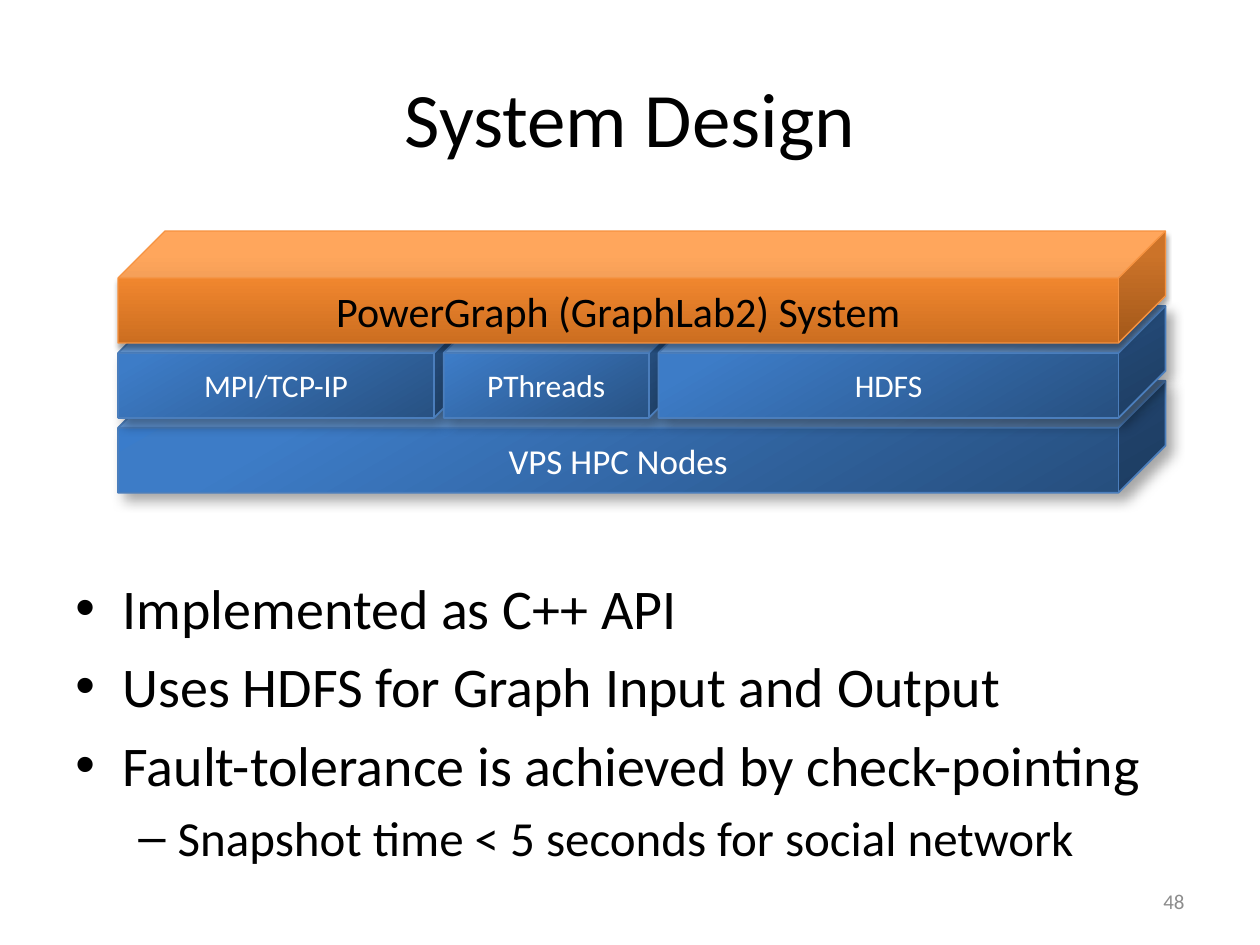
from lxml import etree
from pptx import Presentation
from pptx.dml.color import RGBColor
from pptx.enum.shapes import MSO_SHAPE as Shape
from pptx.enum.text import MSO_ANCHOR as Anchor, PP_ALIGN as Align
from pptx.oxml import parse_xml
from pptx.oxml.ns import nsdecls, qn
from pptx.util import Pt

COLORS = {
    "text": "000000", "light": "FFFFFF", "muted": "8C8C8C",
    "blue_dark": "254C7A", "blue_mid": "3D7CC7", "blue": "3A7CCB", "blue_line": "4B7EBC",
    "orange_dark": "CC6E20", "orange_mid": "FF9034", "orange": "FF9136", "orange_line": "F69240",
}
BLUE = dict(stops=("blue_dark", "blue_mid", "blue"), angle=240, line="blue_line",
            weight=1, shadow=(7, 5, 50), text="light")
ORANGE = dict(stops=("orange_dark", "orange_mid", "orange"), angle=270, line="orange_line",
              weight=0.75, shadow=(3.1, 1.8, 90), text="text")
FONT = "Calibri"
CUBE_HEIGHT = 64
CUBE_DEPTH = 0.42


def rgb(name):
    """Return the named colour."""
    return RGBColor.from_string(COLORS[name])


def style(para, size, color, align):
    """Set the font and alignment of a whole paragraph."""
    para.alignment = align
    para.font.name = FONT
    para.font.size = Pt(size)
    para.font.color.rgb = rgb(color)


def place(shape, box):
    """Move a shape to a box of left, top, width and height."""
    shape.left, shape.top, shape.width, shape.height = map(Pt, box)


def add_title(page, box, text):
    """Fill and place the title placeholder."""
    title = page.shapes.title
    place(title, box)
    title.text_frame.text = text
    title.text_frame.vertical_anchor = Anchor.MIDDLE
    style(title.text_frame.paragraphs[0], 44, "text", Align.CENTER)


def add_cube(page, box, text, size, theme):
    """Draw one shaded, labelled cube."""
    cube = page.shapes.add_shape(Shape.CUBE, *map(Pt, box))
    cube.adjustments[0] = CUBE_DEPTH
    cube.line.color.rgb = rgb(theme["line"])
    cube.line.width = Pt(theme["weight"])
    stops = "".join(
        f'<a:gs pos="{position * 1000}"><a:srgbClr val="{COLORS[name]}"/></a:gs>'
        for position, name in zip((0, 80, 100), theme["stops"]))
    properties = cube._element.spPr
    properties.find(qn("a:prstGeom")).addnext(parse_xml(
        f'<a:gradFill {nsdecls("a")} rotWithShape="1"><a:gsLst>{stops}</a:gsLst>'
        f'<a:lin ang="{theme["angle"] * 60000}" scaled="0"/></a:gradFill>'))
    cube.shadow.inherit = False
    blur, distance, direction = theme["shadow"]
    properties.find(qn("a:effectLst")).append(parse_xml(
        f'<a:outerShdw {nsdecls("a")} blurRad="{Pt(blur)}" dist="{Pt(distance)}" '
        f'dir="{direction * 60000}" rotWithShape="0"><a:srgbClr val="000000">'
        '<a:alpha val="35000"/></a:srgbClr></a:outerShdw>'))
    frame = cube.text_frame
    frame.word_wrap = True
    frame.vertical_anchor = Anchor.MIDDLE
    frame.text = text
    style(frame.paragraphs[0], size, theme["text"], Align.CENTER)


def add_stack(page, box):
    """Draw the system layers from the bottom row to the top row."""
    left, top, width, height = box
    step = (height - CUBE_HEIGHT) / 2
    add_cube(page, (left, top + 2 * step, width, CUBE_HEIGHT), "VPS HPC Nodes", 20, BLUE)
    x = left
    overlap = CUBE_HEIGHT * CUBE_DEPTH - 5.6
    for text, span in (("MPI/TCP-IP", 207.4), ("PThreads", 144), ("HDFS", None)):
        span = span or left + width - x
        add_cube(page, (x, top + step, span, CUBE_HEIGHT), text, 18, BLUE)
        x += span - overlap
    add_cube(page, (left, top, width, CUBE_HEIGHT), "PowerGraph (GraphLab2) System", 24, ORANGE)


def add_bullets(page, box, items):
    """Write a two-level bullet list."""
    frame = page.shapes.add_textbox(*map(Pt, box)).text_frame
    frame.word_wrap = True
    levels = (("•", 32, 27, 27), ("–", 28, 58.5, 22.5))
    for index, (level, text) in enumerate(items):
        mark, size, margin, hang = levels[level]
        para = frame.paragraphs[0] if index == 0 else frame.add_paragraph()
        para.text = text
        para.level = level
        properties = para._p.get_or_add_pPr()
        properties.set("marL", str(Pt(margin)))
        properties.set("indent", str(-Pt(hang)))
        etree.SubElement(properties, qn("a:buFont")).set("typeface", "Arial")
        etree.SubElement(properties, qn("a:buChar")).set("char", mark)
        if index:
            para.space_before = Pt(size * 0.2)
        style(para, size, "text", Align.LEFT)


def add_page_number(page, box, number):
    """Write the page number at the right of its box."""
    frame = page.shapes.add_textbox(*map(Pt, box)).text_frame
    frame.word_wrap = True
    frame.vertical_anchor = Anchor.MIDDLE
    frame.text = number
    style(frame.paragraphs[0], 12, "muted", Align.RIGHT)


def main():
    """Build and save the deck."""
    deck = Presentation()
    deck.slide_width, deck.slide_height = Pt(720), Pt(540)
    page = deck.slides.add_slide(deck.slide_layouts[5])
    add_title(page, (36, 21.6, 648, 90), "System Design")
    add_bullets(page, (36, 324, 648, 180), (
        (0, "Implemented as C++ API"),
        (0, "Uses HDFS for Graph Input and Output"),
        (0, "Fault-tolerance is achieved by check-pointing"),
        (1, "Snapshot time < 5 seconds for social network"),
    ))
    add_page_number(page, (516, 500.5, 168, 28.75), "48")
    add_stack(page, (67.5, 132, 598.5, 149.6))
    deck.save("out.pptx")


if __name__ == "__main__":
    main()
